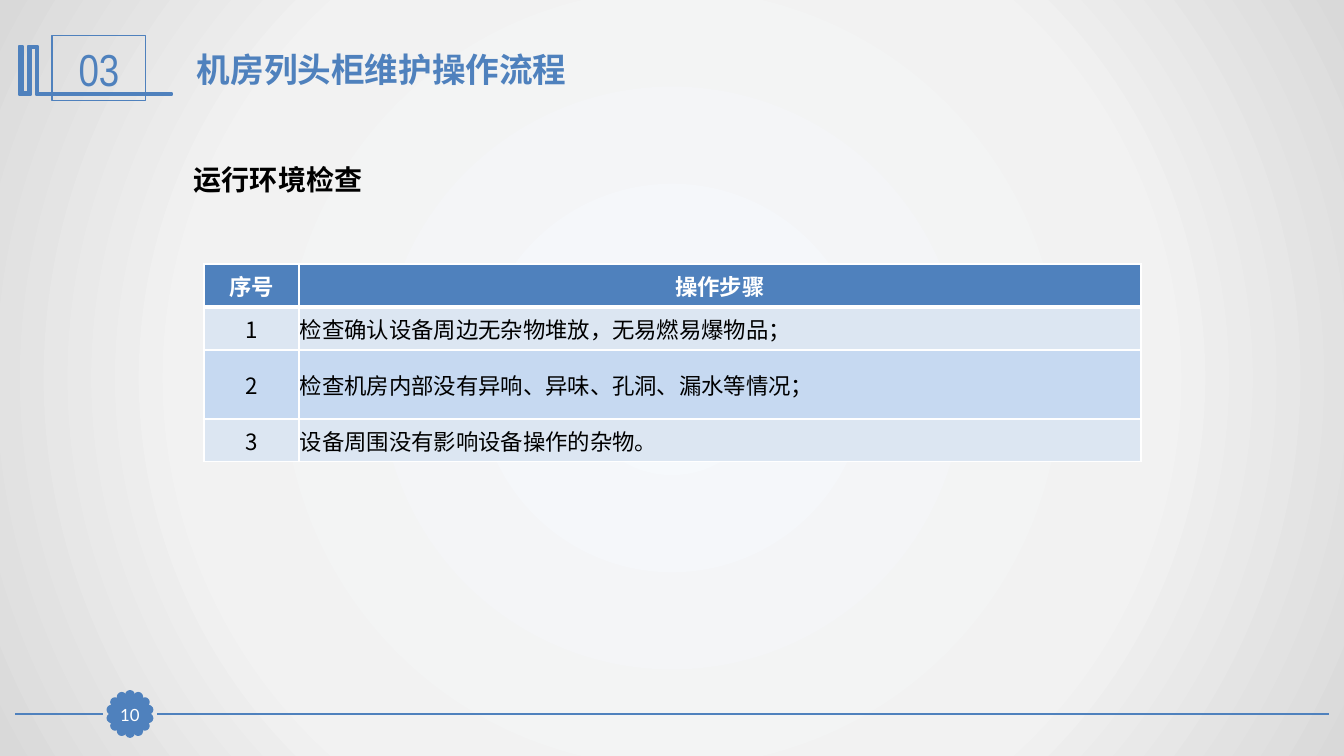
"""Build the server-room cabinet maintenance slide with its inspection table."""
from math import cos, pi, sin

from lxml import etree
from pptx import Presentation
from pptx.dml.color import RGBColor
from pptx.enum.shapes import MSO_CONNECTOR, MSO_SHAPE
from pptx.enum.text import MSO_ANCHOR, MSO_AUTO_SIZE, PP_ALIGN
from pptx.oxml import parse_xml
from pptx.oxml.ns import nsdecls, qn
from pptx.util import Pt

RECTANGLE, OVAL = MSO_SHAPE.RECTANGLE, MSO_SHAPE.OVAL
STRAIGHT = MSO_CONNECTOR.STRAIGHT
MIDDLE = MSO_ANCHOR.MIDDLE
LEFT, CENTER = PP_ALIGN.LEFT, PP_ALIGN.CENTER
GROW = MSO_AUTO_SIZE.SHAPE_TO_FIT_TEXT

THEME = {
    "blue": RGBColor(0x4F, 0x81, 0xBD),
    "white": RGBColor(0xFF, 0xFF, 0xFF),
    "black": RGBColor(0, 0, 0),
    "band": [RGBColor(0xC6, 0xD9, 0xF1), RGBColor(0xDC, 0xE6, 0xF2)],
    "background": [(0, "F6F9FC"), (63, "F2F2F2"), (100, "D9D9D9")],
    "cjk": "Noto Sans CJK SC",
    "latin": "Lato",
    "narrow": "Arial Narrow",
    "number": 32, "title": 24, "subtitle": 20, "table": 16, "page": 12,
}
PX = 12192000 / 1344


def px(*lengths):
    return [round(n * PX) for n in lengths]


def write(tf, text, font, size, color, bold=False, align=LEFT):
    tf.text = text
    p = tf.paragraphs[0]
    p.alignment = align
    r = p.runs[0]
    r.font.name, r.font.size, r.font.bold = font, Pt(size), bold
    r.font.color.rgb = color
    etree.SubElement(r.font._element, qn("a:ea"), typeface=THEME["cjk"])


prs = Presentation()
prs.slide_width, prs.slide_height = px(1344, 756)
s = prs.slides.add_slide(prs.slide_layouts[6])
blue = THEME["blue"]

stops = "".join(
    f'<a:gs pos="{pos * 1000}"><a:srgbClr val="{color}"/></a:gs>'
    for pos, color in THEME["background"]
)
s.element.cSld.insert(0, parse_xml(
    f'<p:bg {nsdecls("p", "a")}><p:bgPr><a:gradFill rotWithShape="1">'
    f'<a:gsLst>{stops}</a:gsLst><a:path path="circle">'
    '<a:fillToRect l="50000" t="50000" r="50000" b="50000"/></a:path>'
    '</a:gradFill><a:effectLst/></p:bgPr></p:bg>'
))

for start, end in [(1329, 157), (103, 15)]:
    line = s.shapes.add_connector(STRAIGHT, *px(start, 714, end, 714))
    line.line.color.rgb = blue
    line.line.width = Pt(1.25)
    etree.SubElement(line.element.spPr, qn("a:effectLst"))

PETALS, RADIUS, PETAL = 14, 19, 7
for i in range(PETALS):
    angle = 2 * pi * i / PETALS
    x = 130 + RADIUS * sin(angle) - PETAL / 2
    y = 714 - RADIUS * cos(angle) - PETAL / 2
    petal = s.shapes.add_shape(OVAL, *px(x, y, PETAL, PETAL))
    petal.shadow.inherit = False
    petal.fill.solid()
    petal.fill.fore_color.rgb = blue
    petal.line.color.rgb = blue
    petal.line.width = Pt(2)

OUTLINE = [
    (37, 46), (38, 46), (38, 93), (172, 93), (172, 95), (36, 95), (36, 48),
    (31, 48), (31, 95), (19, 95), (19, 46), (23, 46), (23, 92), (28, 92), (28, 46),
]
builder = s.shapes.build_freeform(*OUTLINE[0], scale=PX)
builder.add_line_segments(OUTLINE[1:], close=True)
ornament = builder.convert_to_shape()
ornament.shadow.inherit = False
ornament.fill.solid()
ornament.fill.fore_color.rgb = blue
ornament.line.color.rgb = blue
ornament.line.width = Pt(2)

section = s.shapes.add_shape(RECTANGLE, *px(52, 36, 94, 65))
section.fill.background()
page = s.shapes.add_shape(RECTANGLE, *px(114, 699, 32, 31))
page.fill.solid()
page.fill.fore_color.rgb = blue
for sp in (section, page):
    sp.shadow.inherit = False
    sp.line.color.rgb = blue
    sp.line.width = Pt(0.75)
    sp.text_frame.vertical_anchor = MIDDLE
tf = page.text_frame
tf.margin_left = tf.margin_right = tf.margin_top = tf.margin_bottom = 0
write(section.text_frame, "03", THEME["narrow"], THEME["number"], blue, align=CENTER)
write(tf, "10", THEME["latin"], THEME["page"], THEME["white"], align=CENTER)

HEADINGS = [
    ("运行环境检查", (184, 158, 469, 44), THEME["latin"], THEME["subtitle"], THEME["black"]),
    ("机房列头柜维护操作流程", (187, 44, 977, 51), THEME["cjk"], THEME["title"], blue),
]
for text, box, font, size, color in HEADINGS:
    tf = s.shapes.add_textbox(*px(*box)).text_frame
    tf.word_wrap = True
    tf.auto_size = GROW
    write(tf, text, font, size, color, bold=True)

ROWS = [
    ("序号", "操作步骤"),
    ("1", "检查确认设备周边无杂物堆放，无易燃易爆物品；"),
    ("2", "检查机房内部没有异响、异味、孔洞、漏水等情况；"),
    ("3", "设备周围没有影响设备操作的杂物。"),
]
WIDTHS, HEIGHTS = px(95, 842), px(43, 43, 69, 43)
table = s.shapes.add_table(
    len(ROWS), len(WIDTHS), *px(204, 264), sum(WIDTHS), sum(HEIGHTS)
).table
for column, width in zip(table.columns, WIDTHS):
    column.width = width
for i, (row, height) in enumerate(zip(ROWS, HEIGHTS)):
    table.rows[i].height = height
    header = i == 0
    for j, text in enumerate(row):
        cell = table.cell(i, j)
        cell.vertical_anchor = MIDDLE
        step = j == 1 and not header
        if step:
            cell.margin_left, cell.margin_right, cell.margin_top, cell.margin_bottom = px(1, 1, 1, 0)
        for side in "LRTB":
            thick = (i, side) in [(0, "B"), (1, "T")]
            cell._tc.get_or_add_tcPr().append(parse_xml(
                f'<a:ln{side} {nsdecls("a")} w="{Pt(3 if thick else 1)}"><a:solidFill>'
                f'<a:srgbClr val="{THEME["white"]}"/></a:solidFill></a:ln{side}>'
            ))
        cell.fill.solid()
        cell.fill.fore_color.rgb = blue if header else THEME["band"][i % 2]
        write(cell.text_frame, text, THEME["cjk"], THEME["table"],
              THEME["white"] if header else THEME["black"], header, LEFT if step else CENTER)

prs.save("out.pptx")
